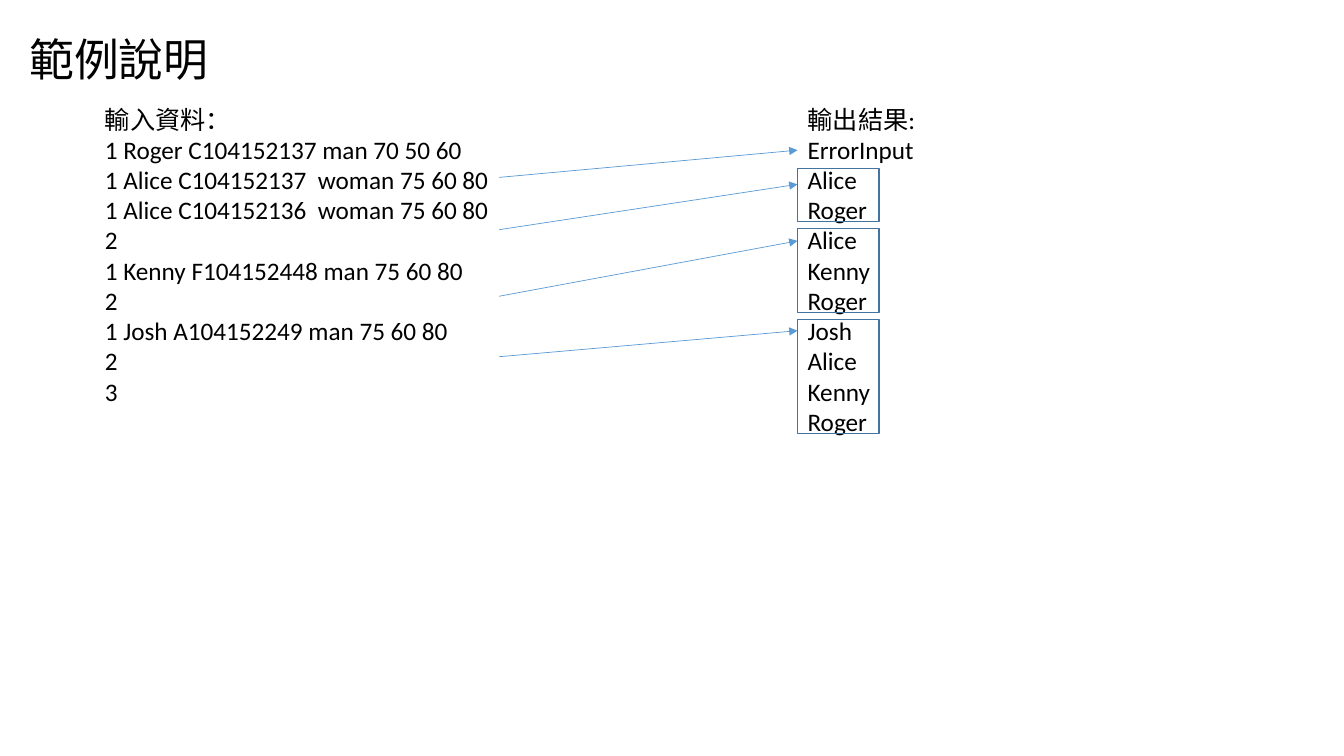
import dataclasses

import lxml.etree
import pptx
import pptx.dml.color
import pptx.enum.shapes
import pptx.enum.text
import pptx.oxml.ns
import pptx.util


@dataclasses.dataclass(frozen=True)
class Theme:
    font: str = "Calibri"
    text: str = "000000"
    arrow: str = "5B9BD5"
    frame: str = "43739E"
    title_size: float = 32
    body_size: float = 18
    arrow_width: float = 0.5
    frame_width: float = 1


THEME = Theme()
SLIDE_SIZE = (13.33, 7.5)
ROW_HEIGHT = 0.3
FIRST_ROW_TOP = 1.07
FRAME_GAP = 0.07
FRAME_WIDTH = 0.81
BODY_TOP = 0.98
INPUT_LEFT = 0.94
ARROW_LEFT = 4.95
OUTPUT_LEFT = 7.91

INPUT_LINES = [
    "輸入資料：",
    "1 Roger C104152137 man 70 50 60",
    "1 Alice C104152137  woman 75 60 80",
    "1 Alice C104152136  woman 75 60 80",
    "2",
    "1 Kenny F104152448 man 75 60 80",
    "2",
    "1 Josh A104152249 man 75 60 80",
    "2",
    "3",
]
OUTPUT_GROUPS = [
    ["Alice", "Roger"],
    ["Alice", "Kenny", "Roger"],
    ["Josh", "Alice", "Kenny", "Roger"],
]
OUTPUT_HEADING = ["輸出結果:", "ErrorInput"]
ARROW_ROWS = [(2.3, 1.4), (4.03, 2.53), (6.23, 4.4), (8.23, 7.37)]


def inches(value):
    return pptx.util.Inches(value)


def row_top(row):
    return FIRST_ROW_TOP + row * ROW_HEIGHT


def colour(value):
    return pptx.dml.color.RGBColor.from_string(value)


def set_attributes(target, values):
    for name, value in values.items():
        setattr(target, name, value)


def fill_placeholder(placeholder, box, lines, size, frame_format, paragraph_format):
    names = ("left", "top", "width", "height")
    set_attributes(placeholder, dict(zip(names, map(inches, box))))
    frame = placeholder.text_frame
    frame.text = "\n".join(lines)
    set_attributes(frame, frame_format)
    for paragraph in frame.paragraphs:
        set_attributes(paragraph, paragraph_format)
        set_attributes(paragraph.font, {"name": THEME.font, "size": pptx.util.Pt(size)})
        paragraph.font.color.rgb = colour(THEME.text)
        for run in paragraph.runs:
            set_attributes(run.font, {"name": THEME.font, "size": pptx.util.Pt(size)})
            run.font.color.rgb = colour(THEME.text)


def fill_list(placeholder, left, width, lines, wrap):
    height = len(lines) * ROW_HEIGHT + 0.13
    frame_format = {
        "word_wrap": wrap,
        "auto_size": pptx.enum.text.MSO_AUTO_SIZE.SHAPE_TO_FIT_TEXT,
        "vertical_anchor": pptx.enum.text.MSO_ANCHOR.TOP,
    }
    paragraph_format = {"space_before": pptx.util.Pt(0), "line_spacing": 1.0}
    fill_placeholder(placeholder, (left, BODY_TOP, width, height), lines,
                     THEME.body_size, frame_format, paragraph_format)
    for paragraph in placeholder.text_frame.paragraphs:
        properties = paragraph._p.get_or_add_pPr()
        properties.set("marL", "0")
        properties.set("indent", "0")
        lxml.etree.SubElement(properties, pptx.oxml.ns.qn("a:buNone"))


def style_line(line, line_colour, width):
    line.color.rgb = colour(line_colour)
    line.width = pptx.util.Pt(width)


def add_arrow(slide, start_row, end_row):
    arrow = slide.shapes.add_connector(
        pptx.enum.shapes.MSO_CONNECTOR.STRAIGHT,
        inches(ARROW_LEFT), inches(row_top(start_row)),
        inches(OUTPUT_LEFT), inches(row_top(end_row)))
    style_line(arrow.line, THEME.arrow, THEME.arrow_width)
    properties = arrow._element.spPr
    outline = properties.find(pptx.oxml.ns.qn("a:ln"))
    lxml.etree.SubElement(outline, pptx.oxml.ns.qn("a:tailEnd"), type="triangle")
    lxml.etree.SubElement(properties, pptx.oxml.ns.qn("a:effectLst"))


def add_frame(slide, row, row_count):
    frame = slide.shapes.add_shape(
        pptx.enum.shapes.MSO_SHAPE.RECTANGLE,
        inches(OUTPUT_LEFT), inches(row_top(row)),
        inches(FRAME_WIDTH), inches(row_count * ROW_HEIGHT - FRAME_GAP))
    frame.shadow.inherit = False
    frame.fill.background()
    style_line(frame.line, THEME.frame, THEME.frame_width)


def main():
    presentation = pptx.Presentation()
    width, height = SLIDE_SIZE
    set_attributes(presentation, {"slide_width": inches(width), "slide_height": inches(height)})
    slide = presentation.slides.add_slide(presentation.slide_layouts.get_by_name("Two Content"))
    title, input_list, output_list = list(slide.placeholders)[:3]

    fill_placeholder(
        title, (0.19, -0.11, 2.43, 1.45), ["範例說明"], THEME.title_size,
        {"vertical_anchor": pptx.enum.text.MSO_ANCHOR.MIDDLE, "word_wrap": True},
        {"alignment": pptx.enum.text.PP_ALIGN.LEFT, "line_spacing": 0.9})
    fill_list(input_list, INPUT_LEFT, 5.72, INPUT_LINES, True)
    output_lines = OUTPUT_HEADING + [name for group in OUTPUT_GROUPS for name in group]
    fill_list(output_list, OUTPUT_LEFT, 1.32, output_lines, False)

    for start_row, end_row in ARROW_ROWS:
        add_arrow(slide, start_row, end_row)
    row = len(OUTPUT_HEADING)
    for group in OUTPUT_GROUPS:
        add_frame(slide, row, len(group))
        row += len(group)
    presentation.save("out.pptx")


main()
